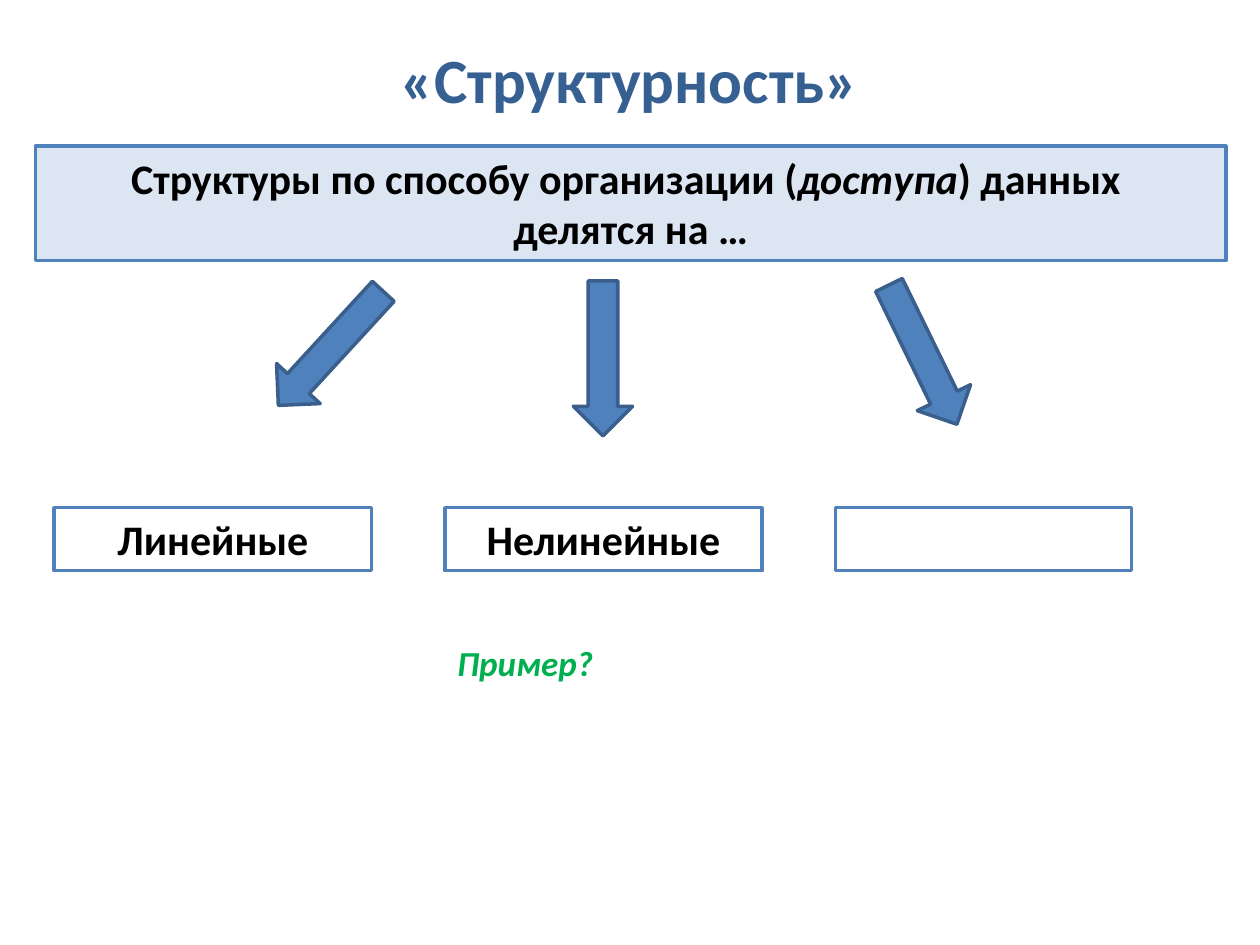
import dataclasses

import pptx
import pptx.dml.color
import pptx.enum.shapes
import pptx.enum.text
import pptx.util

Inches = pptx.util.Inches
ALIGN = pptx.enum.text.PP_ALIGN
ANCHOR = pptx.enum.text.MSO_ANCHOR
SHAPE = pptx.enum.shapes.MSO_SHAPE


@dataclasses.dataclass(frozen=True)
class Theme:
    """Colours and type sizes of the slide."""
    font: str = "Calibri"
    title: str = "376092"
    ink: str = "000000"
    accent: str = "4F81BD"
    arrow_edge: str = "3A5F8C"
    pale: str = "DCE6F2"
    white: str = "FFFFFF"
    prompt: str = "00B050"
    title_size: int = 36
    box_size: int = 24
    prompt_size: int = 20
    line_width: int = 2


THEME = Theme()


def rgb(value):
    """Turn a hex string into a colour."""
    return pptx.dml.color.RGBColor.from_string(value)


def write(shape, text, size, color, align=ALIGN.CENTER, anchor=ANCHOR.TOP, italic=()):
    """Write bold text in a shape, with the named pieces in italics."""
    frame = shape.text_frame
    frame.word_wrap = True
    frame.vertical_anchor = anchor
    para = frame.paragraphs[0]
    para.alignment = align
    for number, line in enumerate(text.split("\n")):
        if number:
            para.add_line_break()
        for piece in line.split("|"):
            span = para.add_run()
            span.text = piece
            span.font.name = THEME.font
            span.font.size = pptx.util.Pt(size)
            span.font.bold = True
            span.font.italic = piece in italic
            span.font.color.rgb = rgb(color)
    return para


def add_figure(page, kind, box, fill, edge):
    """Add a filled and outlined preset shape."""
    figure = page.shapes.add_shape(kind, *map(Inches, box))
    figure.shadow.inherit = False
    figure.fill.solid()
    figure.fill.fore_color.rgb = rgb(fill)
    figure.line.color.rgb = rgb(edge)
    figure.line.width = pptx.util.Pt(THEME.line_width)
    return figure


def add_title(page, box):
    """Add the slide title."""
    title = page.shapes.add_textbox(*map(Inches, box))
    write(title, "«Структурность»", THEME.title_size, THEME.title, anchor=ANCHOR.MIDDLE)


def add_statement(page, box):
    """Add the shaded statement under the title."""
    statement = add_figure(page, SHAPE.RECTANGLE, box, THEME.pale, THEME.accent)
    text = "Структуры по способу организации (|доступа|) данных \nделятся на …"
    write(statement, text, THEME.box_size, THEME.ink, italic=("доступа",))


def add_arrows(page, box):
    """Add the three arrows that fan out from the statement."""
    left, top, width, height = box
    for across, down, angle in ((0, 0, 132.6), (2.16, 0.08, 90), (4.7, 0.05, 64)):
        place = (left + across, top + down, width, height)
        arrow = add_figure(page, SHAPE.RIGHT_ARROW, place, THEME.accent, THEME.arrow_edge)
        arrow.rotation = angle


def add_kinds(page, box):
    """Add the row of structure kinds, the last one left open."""
    left, top, step, height = box
    for index, (name, width) in enumerate((("Линейные", 2.52), ("Нелинейные", 2.52), ("", 2.35))):
        place = (left + index * step, top, width, height)
        kind = add_figure(page, SHAPE.RECTANGLE, place, THEME.white, THEME.accent)
        if name:
            write(kind, name, THEME.box_size, THEME.ink)


def add_prompt(page, box):
    """Add the question below the kinds."""
    prompt = page.shapes.add_textbox(*map(Inches, box))
    text = "Пример?"
    para = write(prompt, text, THEME.prompt_size, THEME.prompt, ALIGN.LEFT, italic=(text,))
    para.space_before = pptx.util.Pt(4)


def build():
    """Build the deck and save it."""
    deck = pptx.Presentation()
    deck.slide_width, deck.slide_height = Inches(10), Inches(7.5)
    page = deck.slides.add_slide(deck.slide_layouts[6])
    add_title(page, (0, 0, 10, 1.25))
    add_statement(page, (0.28, 1.16, 9.45, 0.91))
    add_arrows(page, (2.01, 2.53, 1.23, 0.47))
    add_kinds(page, (0.43, 4.03, 3.1, 0.5))
    add_prompt(page, (3.53, 5.04, 1.74, 0.47))
    deck.save("out.pptx")


build()
